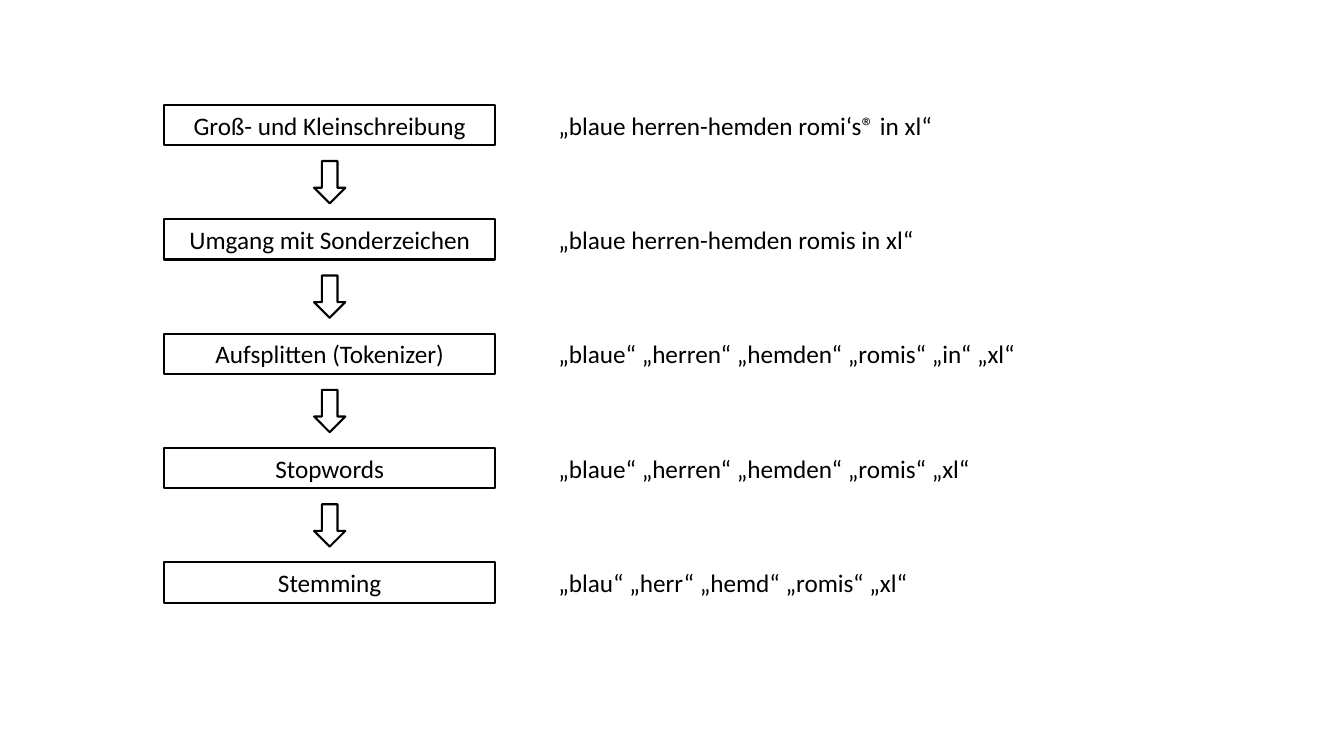
from pptx import Presentation
from pptx.dml.color import RGBColor
from pptx.enum.shapes import MSO_SHAPE
from pptx.enum.text import MSO_ANCHOR, PP_ALIGN
from pptx.util import Inches, Pt

BLACK = "000000"
FONT = {"name": "Calibri", "size": Pt(18)}
FRAME = {"word_wrap": True, "vertical_anchor": MSO_ANCHOR.MIDDLE}
STEP_HEIGHT = 0.4
STEP_PITCH = 1.135
ARROW_WIDTH, ARROW_HEIGHT = 0.31, 0.42

STEPS = [
    ("Groß- und Kleinschreibung", "„blaue herren-hemden romi‘s® in xl“"),
    ("Umgang mit Sonderzeichen", "„blaue herren-hemden romis in xl“"),
    ("Aufsplitten (Tokenizer)", "„blaue“ „herren“ „hemden“ „romis“ „in“ „xl“"),
    ("Stopwords", "„blaue“ „herren“ „hemden“ „romis“ „xl“"),
    ("Stemming", "„blau“ „herr“ „hemd“ „romis“ „xl“"),
]


def color(value):
    return RGBColor.from_string(value)


def apply(target, values):
    for name, value in values.items():
        setattr(target, name, value)


def write(holder, wording, alignment):
    apply(holder.text_frame, FRAME)
    paragraph = holder.text_frame.paragraphs[0]
    paragraph.alignment = alignment
    run = paragraph.add_run()
    run.text = wording
    apply(run.font, FONT)
    run.font.color.rgb = color(BLACK)


def add_outline(slide, kind, left, top, width, height):
    outline = slide.shapes.add_shape(
        kind, Inches(left), Inches(top), Inches(width), Inches(height))
    outline.shadow.inherit = False
    outline.fill.background()
    outline.line.color.rgb = color(BLACK)
    outline.line.width = Pt(1.5)
    return outline


def add_pipeline(slide, left, top, width, steps):
    arrow_left = left + (width - ARROW_WIDTH) / 2
    arrow_offset = (STEP_HEIGHT + STEP_PITCH - ARROW_HEIGHT) / 2
    for index, step in enumerate(steps):
        step_top = top + index * STEP_PITCH
        box = add_outline(
            slide, MSO_SHAPE.RECTANGLE, left, step_top, width, STEP_HEIGHT)
        write(box, step, PP_ALIGN.CENTER)
        if index < len(steps) - 1:
            add_outline(slide, MSO_SHAPE.DOWN_ARROW, arrow_left,
                        step_top + arrow_offset, ARROW_WIDTH, ARROW_HEIGHT)


def add_examples(slide, left, top, width, examples):
    for index, example in enumerate(examples):
        example_box = slide.shapes.add_textbox(
            Inches(left), Inches(top + index * STEP_PITCH),
            Inches(width), Inches(STEP_HEIGHT))
        write(example_box, example, PP_ALIGN.LEFT)


def main():
    presentation = Presentation()
    apply(presentation, {"slide_width": Inches(13.33),
                         "slide_height": Inches(7.5)})
    slide = presentation.slides.add_slide(presentation.slide_layouts[6])
    steps, examples = zip(*STEPS)
    add_pipeline(slide, 1.63, 1.04, 3.28, steps)
    add_examples(slide, 5.44, 1.04, 4.93, examples)
    presentation.save("out.pptx")


if __name__ == "__main__":
    main()
